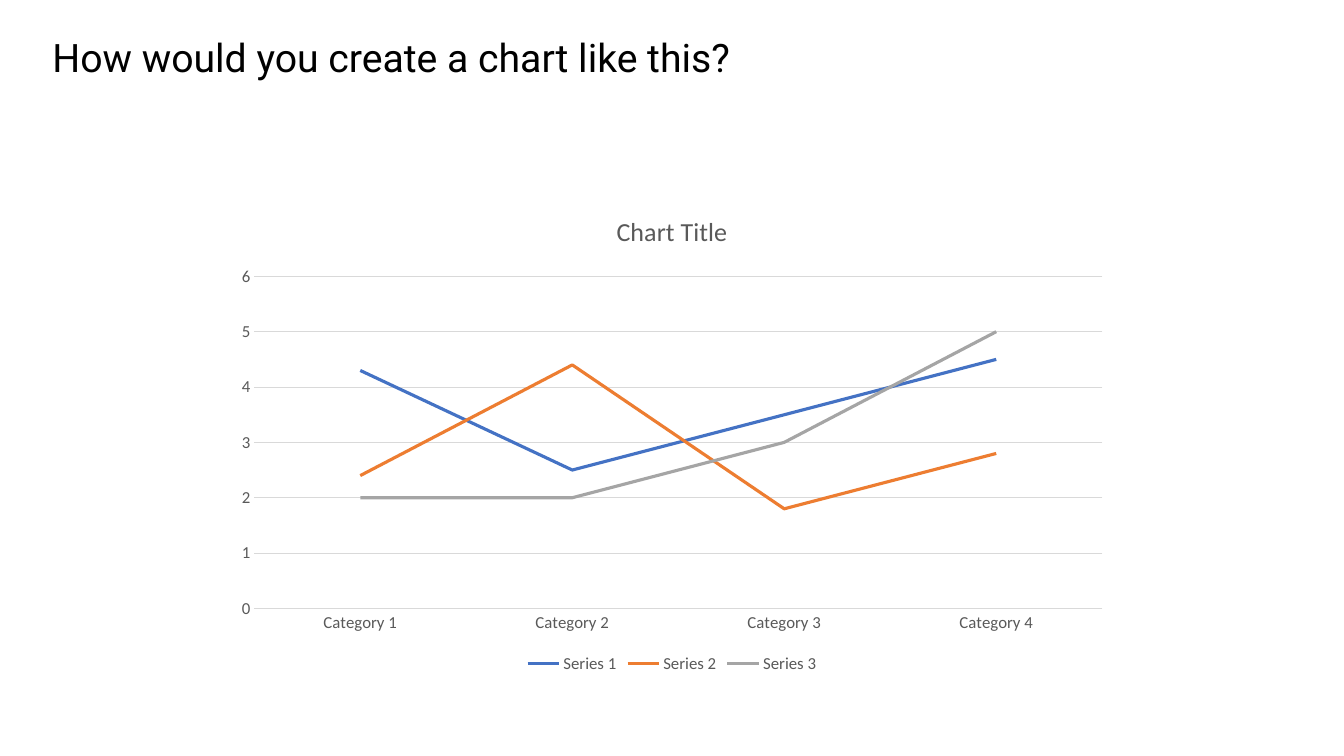
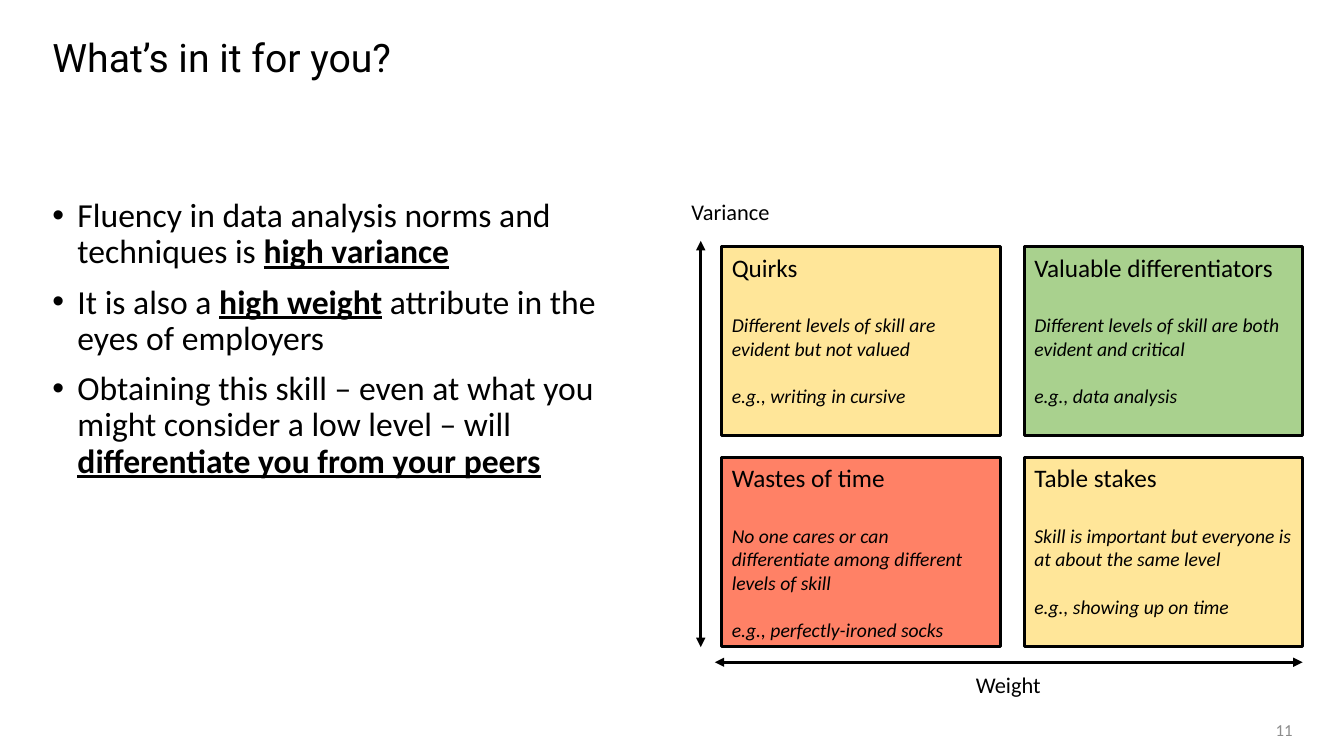
from dataclasses import dataclass

from lxml import etree
from pptx import Presentation
from pptx.chart.data import CategoryChartData
from pptx.dml.color import RGBColor
from pptx.enum.chart import XL_CHART_TYPE, XL_LEGEND_POSITION, XL_MARKER_STYLE, XL_TICK_MARK
from pptx.enum.shapes import MSO_CONNECTOR, MSO_SHAPE
from pptx.enum.text import MSO_ANCHOR, MSO_AUTO_SIZE, PP_ALIGN
from pptx.oxml.ns import qn
from pptx.util import Inches, Pt

LINE = XL_CHART_TYPE.LINE
BOTTOM = XL_LEGEND_POSITION.BOTTOM
NO_MARK = XL_MARKER_STYLE.NONE
NO_TICK = XL_TICK_MARK.NONE
STRAIGHT = MSO_CONNECTOR.STRAIGHT
RECT = MSO_SHAPE.RECTANGLE
TOP, MIDDLE = MSO_ANCHOR.TOP, MSO_ANCHOR.MIDDLE
NO_FIT = MSO_AUTO_SIZE.NONE
LEFT, CENTER, RIGHT = PP_ALIGN.LEFT, PP_ALIGN.CENTER, PP_ALIGN.RIGHT

COLORS = {
    "black": "000000", "gray": "595959", "pale": "8C8C8C", "grid": "D9D9D9",
    "blue": "4472C4", "orange": "ED7D31", "silver": "A5A5A5",
    "yellow": "FFE699", "green": "A9D18E", "red": "FF2D00",
}
HEAD, BODY = "Roboto", "Calibri"


@dataclass
class Series:
    name: str
    vals: tuple
    color: str


@dataclass
class Box:
    col: int
    row: int
    color: str
    head: str
    note: str
    sample: str
    alpha: int = 100


@dataclass
class Label:
    text: str
    area: tuple
    size: float = 16
    color: str = "black"
    align: PP_ALIGN = LEFT
    anchor: MSO_ANCHOR = TOP


CATS = [f"Category {n}" for n in range(1, 5)]
SERIES = [
    Series("Series 1", (4.3, 2.5, 3.5, 4.5), "blue"),
    Series("Series 2", (2.4, 4.4, 1.8, 2.8), "orange"),
    Series("Series 3", (2, 2, 3, 5), "silver"),
]

# Each bullet is a list of (text, strong) pieces
BULLETS = [
    [("Fluency in data analysis norms and techniques is ", False), ("high variance", True)],
    [("It is also a ", False), ("high weight", True),
     (" attribute in the eyes of employers", False)],
    [("Obtaining this skill – even at what you might consider a low level – will ", False),
     ("differentiate you from your peers", True)],
]

BOXES = [
    Box(0, 0, "yellow", "Quirks",
        "Different levels of skill are evident but not valued", "e.g., writing in cursive"),
    Box(1, 0, "green", "Valuable differentiators",
        "Different levels of skill are both evident and critical", "e.g., data analysis"),
    Box(0, 1, "red", "Wastes of time",
        "No one cares or can differentiate among different levels of skill",
        "e.g., perfectly-ironed socks", 60),
    Box(1, 1, "yellow", "Table stakes",
        "Skill is important but everyone is at about the same level",
        "e.g., showing up on time"),
]
GRID_X, GRID_Y = 7.16, 2.45
STEP_X, STEP_Y = 3.0, 2.09
BOX_W, BOX_H = 2.76, 1.87

ARROWS = [(7.09, 6.57, 12.92, 6.57), (6.95, 6.42, 6.95, 2.39)]
LABELS = [
    Label("Weight", (9.08, 6.61, 1.84, 0.37), align=CENTER),
    Label("Variance", (6.76, 1.92, 1.84, 0.37)),
    Label("11", (9.92, 7.09, 3, 0.3), 12, "pale", RIGHT, MIDDLE),
]


def rgb(name: str) -> RGBColor:
    return RGBColor.from_string(COLORS[name])


def style(font, size: float, color: str = "black", face: str = BODY) -> None:
    font.name, font.size = face, Pt(size)
    font.color.rgb = rgb(color)


def add_slide(prs, title: str):
    slide = prs.slides.add_slide(prs.slide_layouts[5])
    shape = slide.shapes.title
    shape.left, shape.top = Inches(0.42), Inches(0.33)
    shape.width, shape.height = Inches(12.5), Inches(1)
    frame = shape.text_frame
    frame.text = title
    frame.auto_size, frame.vertical_anchor = NO_FIT, TOP
    para = frame.paragraphs[0]
    para.alignment, para.line_spacing = LEFT, 0.9
    style(para.runs[0].font, 28, face=HEAD)
    return slide


def add_frame(slide, area: tuple):
    frame = slide.shapes.add_textbox(*map(Inches, area)).text_frame
    frame.word_wrap = True
    return frame


def add_label(slide, label: Label) -> None:
    frame = add_frame(slide, label.area)
    frame.text = label.text
    frame.vertical_anchor = label.anchor
    para = frame.paragraphs[0]
    para.alignment = label.align
    style(para.runs[0].font, label.size, label.color)


def add_list(slide) -> None:
    frame = add_frame(slide, (0.42, 1.92, 6.25, 5.04))
    for n, parts in enumerate(BULLETS):
        para = frame.add_paragraph() if n else frame.paragraphs[0]
        para.line_spacing, para.space_before = 0.9, Pt(10)
        props = para._p.get_or_add_pPr()
        props.set("marL", str(Inches(0.25)))
        props.set("indent", str(Inches(-0.25)))
        etree.SubElement(props, qn("a:buFont")).set("typeface", "Arial")
        etree.SubElement(props, qn("a:buChar")).set("char", "•")
        for text, strong in parts:
            run = para.add_run()
            run.text = text
            style(run.font, 24)
            run.font.bold = run.font.underline = strong


def add_box(slide, box: Box) -> None:
    left, top = GRID_X + box.col * STEP_X, GRID_Y + box.row * STEP_Y
    shape = slide.shapes.add_shape(RECT, *map(Inches, (left, top, BOX_W, BOX_H)))
    shape.shadow.inherit = False
    shape.fill.solid()
    shape.fill.fore_color.rgb = rgb(box.color)
    if box.alpha < 100:
        fill = shape._element.spPr.find(qn("a:solidFill"))
        etree.SubElement(fill[0], qn("a:alpha")).set("val", str(box.alpha * 1000))
    shape.line.color.rgb = rgb("black")
    shape.line.width = Pt(2.25)
    frame = shape.text_frame
    frame.word_wrap, frame.vertical_anchor = True, TOP
    frame.text = "\n".join((box.head, box.note, box.sample))
    for para, size, gap in zip(frame.paragraphs, (18, 14, 14), (0, 22, 17)):
        para.alignment, para.space_before = LEFT, Pt(gap)
        font = para.runs[0].font
        style(font, size)
        font.italic = size == 14


def add_arrow(slide, ends: tuple) -> None:
    arrow = slide.shapes.add_connector(STRAIGHT, *map(Inches, ends))
    arrow.line.color.rgb = rgb("black")
    arrow.line.width = Pt(2.25)
    props = arrow._element.spPr
    line = props.find(qn("a:ln"))
    for tag in ("a:headEnd", "a:tailEnd"):
        etree.SubElement(line, qn(tag)).set("type", "triangle")
    etree.SubElement(props, qn("a:effectLst"))


def add_lines(slide) -> None:
    data = CategoryChartData()
    data.categories = CATS
    for item in SERIES:
        data.add_series(item.name, item.vals)
    area = map(Inches, (2.22, 1.92, 8.89, 4.8))
    chart = slide.shapes.add_chart(LINE, *area, data).chart
    style(chart.font, 12, "gray")

    # Title and legend
    chart.has_title = True
    frame = chart.chart_title.text_frame
    frame.text = "Chart Title"
    font = frame.paragraphs[0].runs[0].font
    style(font, 18.6, "gray")
    font.bold = False
    chart.chart_title.include_in_layout = False
    chart.has_legend = True
    chart.legend.position = BOTTOM
    chart.legend.include_in_layout = False
    style(chart.legend.font, 12, "gray")

    # Axes
    cat, val = chart.category_axis, chart.value_axis
    for axis in (cat, val):
        axis.major_tick_mark = axis.minor_tick_mark = NO_TICK
        style(axis.tick_labels.font, 12, "gray")
    val.minimum_scale, val.maximum_scale, val.major_unit = 0, 6, 1
    val.has_major_gridlines = True
    val.format.line.fill.background()
    for line in (cat.format.line, val.major_gridlines.format.line):
        line.color.rgb = rgb("grid")
        line.width = Pt(0.75)

    # Series
    plot = chart.plots[0]
    plot.vary_by_categories = False
    for item, line in zip(SERIES, plot.series):
        line.smooth = False
        line.marker.style = NO_MARK
        line.format.line.color.rgb = rgb(item.color)
        line.format.line.width = Pt(2.25)


def main() -> None:
    prs = Presentation()
    prs.slide_width, prs.slide_height = Inches(13.33), Inches(7.5)

    # Line chart
    add_lines(add_slide(prs, "How would you create a chart like this?"))

    # Bullets and two-by-two grid
    slide = add_slide(prs, "What’s in it for you?")
    add_list(slide)
    for ends in ARROWS:
        add_arrow(slide, ends)
    for label in LABELS:
        add_label(slide, label)
    for box in BOXES:
        add_box(slide, box)

    prs.save("out.pptx")


if __name__ == "__main__":
    main()
